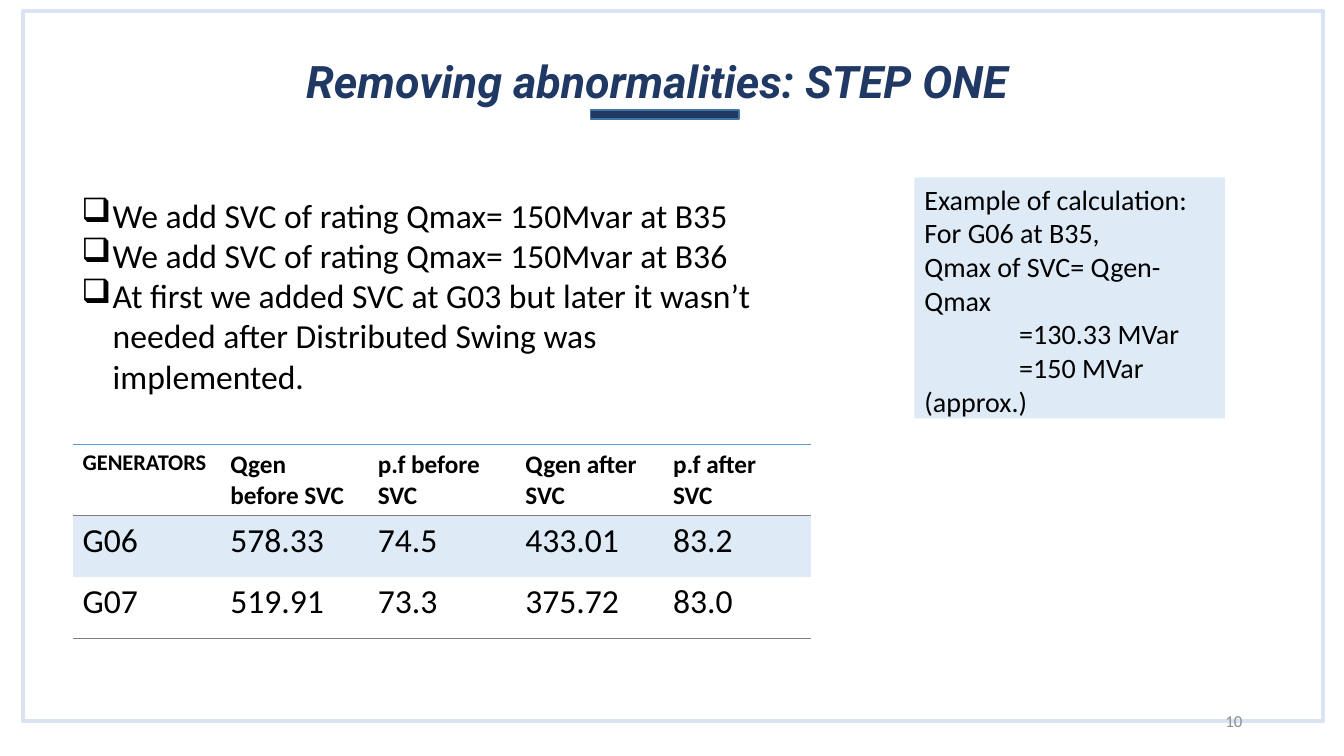
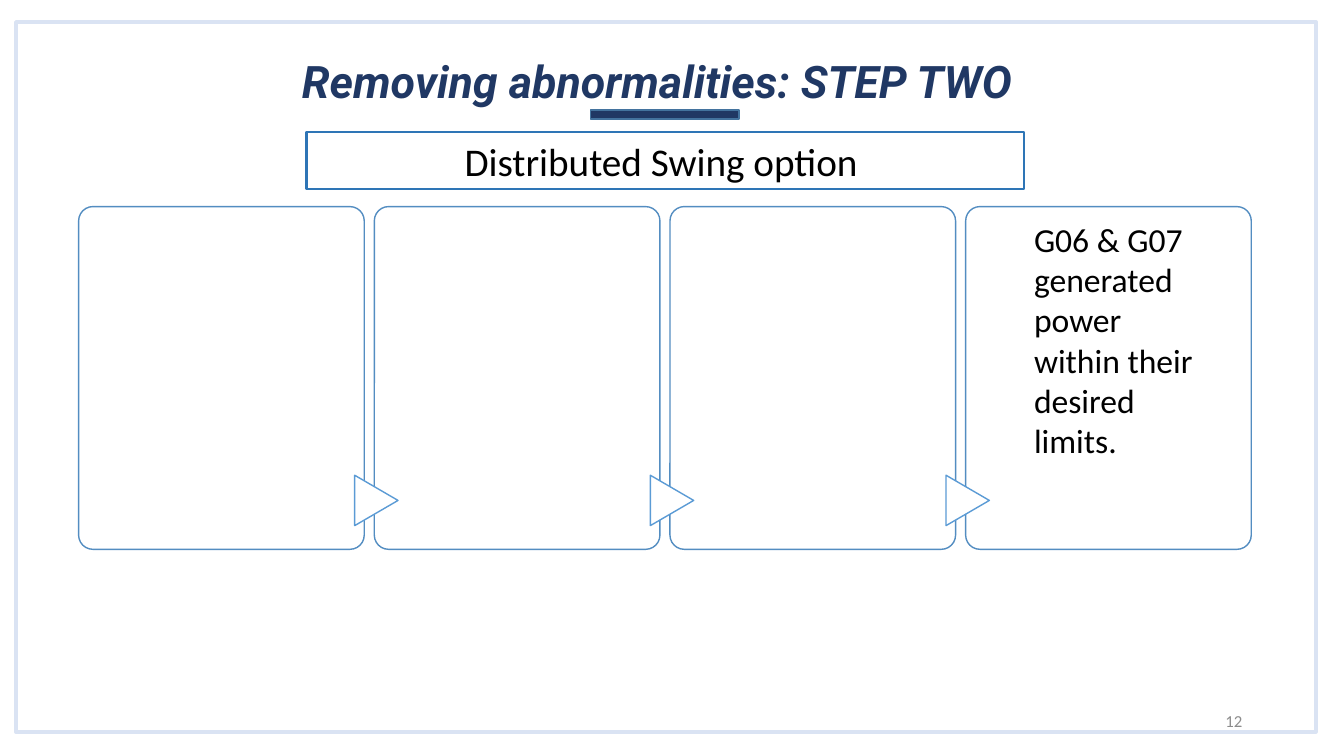
from pptx import Presentation
from pptx.dml.color import RGBColor
from pptx.enum.shapes import MSO_SHAPE
from pptx.enum.text import MSO_ANCHOR, PP_ALIGN
from pptx.oxml.ns import qn
from pptx.util import Inches, Pt
from lxml.etree import SubElement

COLORS = {
    "white": "FFFFFF", "black": "000000", "navy": "203864", "frame": "DAE3F3",
    "bar_line": "43739E", "pale": "DEEBF7", "banner": "2E75B6",
    "card": "538DC1", "blue": "5B9BD5", "rule": "7F7F7F", "number": "8C8C8C",
}
TITLE = {"name": "Roboto", "size": Pt(32), "bold": True, "italic": True}
BODY = {"name": "Calibri", "size": Pt(24)}
NOTE = {"name": "Calibri", "size": Pt(20)}
BANNER = {"name": "Calibri", "size": Pt(28)}
NUMBER = {"name": "Calibri", "size": Pt(12)}
HEAD = {"name": "Calibri", "size": Pt(18), "bold": True}
HEAD_SMALL = {**HEAD, "size": Pt(16)}


def rgb(name):
    return RGBColor.from_string(COLORS[name])


def inches(box):
    return [Inches(v) for v in box]


def write(tf, lines, fmt, color="black", align=PP_ALIGN.LEFT,
          anchor=MSO_ANCHOR.TOP, indents=None, bullet=None):
    tf.word_wrap = True
    tf.vertical_anchor = anchor
    for i, line in enumerate(lines):
        p = tf.paragraphs[0] if i == 0 else tf.add_paragraph()
        p.alignment = align
        margin, first = indents[i] if indents else (0, 0)
        pPr = p._p.get_or_add_pPr()
        pPr.set("marL", str(Inches(margin)))
        pPr.set("indent", str(Inches(first)))
        if bullet:
            SubElement(pPr, qn("a:buChar")).set("char", bullet)
        r = p.add_run()
        r.text = line
        for key, value in fmt.items():
            setattr(r.font, key, value)
        r.font.color.rgb = rgb(color)


def add_text(s, box, lines, fmt, **options):
    sp = s.shapes.add_textbox(*inches(box))
    write(sp.text_frame, lines, fmt, **options)


def add_box(s, kind, box, fill="white", line=None, width=1):
    sp = s.shapes.add_shape(kind, *inches(box))
    sp.shadow.inherit = False
    sp.fill.solid()
    sp.fill.fore_color.rgb = rgb(fill)
    if line:
        sp.line.color.rgb = rgb(line)
        sp.line.width = Pt(width)
    else:
        sp.line.fill.background()
    return sp


def base_slide(prs, title, number, left, top):
    s = prs.slides.add_slide(prs.slide_layouts[6])
    add_box(s, MSO_SHAPE.RECTANGLE, (left, top, 12.89, 7.04), line="frame", width=3)
    add_text(s, (0.77, 0.45, 11.5, 0.7), [title], TITLE, color="navy",
             align=PP_ALIGN.CENTER, anchor=MSO_ANCHOR.MIDDLE)
    add_text(s, (9.42, 6.95, 3, 0.4), [number], NUMBER, color="number",
             align=PP_ALIGN.RIGHT, anchor=MSO_ANCHOR.MIDDLE)
    add_box(s, MSO_SHAPE.RECTANGLE, (5.86, 1.09, 1.47, 0.09), "navy", "bar_line")
    return s


def set_borders(cell, **edges):
    tcPr = cell._tc.get_or_add_tcPr()
    for side in "LRTB":
        ln = SubElement(tcPr, qn(f"a:ln{side}"))
        if side in edges:
            color, width = edges[side]
            ln.set("w", str(Pt(width)))
            fill = SubElement(ln, qn("a:solidFill"))
            SubElement(fill, qn("a:srgbClr")).set("val", COLORS[color])
        else:
            ln.set("w", "0")
            SubElement(ln, qn("a:noFill"))


def generator_table(s, box, rows, heights):
    frame = s.shapes.add_table(len(rows), len(rows[0]), *inches(box))
    table = frame.table
    table.first_row = table.horz_banding = False
    for col in table.columns:
        col.width = Inches(box[2] / len(rows[0]))
    rule = ("rule", 0.75)
    borders = [{"T": ("blue", 1.5), "B": rule}, {"T": rule}, {"B": rule}]
    for i, row in enumerate(rows):
        table.rows[i].height = Inches(heights[i])
        for j, text in enumerate(row):
            cell = table.cell(i, j)
            set_borders(cell, **borders[i])
            if i == 1:
                cell.fill.solid()
                cell.fill.fore_color.rgb = rgb("pale")
            else:
                cell.fill.background()
            fmt = BODY if i else HEAD if j else HEAD_SMALL
            write(cell.text_frame, text.split("\n"), fmt)


def calculation_note(s, box):
    sp = add_box(s, MSO_SHAPE.RECTANGLE, box, "pale")
    lines = ["Example of calculation:", "For G06 at B35,",
             "Qmax of SVC= Qgen- Qmax", "=130.33 MVar", "=150 MVar (approx.)"]
    indents = [(0, 0.94 if line.startswith("=") else 0) for line in lines]
    write(sp.text_frame, lines, NOTE, indents=indents)


def process_cards(s, box, texts, gap=0.1):
    left, top, width, height = box
    card_w = (width - gap * (len(texts) - 1)) / len(texts)
    for i, text in enumerate(texts):
        x = left + i * (card_w + gap)
        card = add_box(s, MSO_SHAPE.ROUNDED_RECTANGLE, (x, top, card_w, height), line="card")
        card.adjustments[0] = 0.05
        if i:
            arrow = add_box(s, MSO_SHAPE.FLOWCHART_EXTRACT,
                            (x - 0.23, top + 2.7, 0.5, 0.43), line="blue")
            arrow.rotation = 90
        if text:
            add_text(s, (x + 0.58, top + 0.07, 1.87, 2.52), [text], BODY)


def step_one(prs):
    s = base_slide(prs, "Removing abnormalities: STEP ONE", "10", 0.23, 0.11)
    calculation_note(s, (9.07, 1.76, 3.08, 2.39))
    points = ["We add SVC of rating Qmax= 150Mvar at B35",
              "We add SVC of rating Qmax= 150Mvar at B36",
              "At first we added SVC at G03 but later it wasn’t needed after "
              "Distributed Swing was implemented."]
    add_text(s, (0.71, 1.88, 7.05, 2.1), points, BODY,
             indents=[(0.31, -0.31)] * len(points), bullet="❑")
    rows = [["GENERATORS", "Qgen\nbefore SVC", "p.f before SVC", "Qgen after SVC", "p.f after SVC"],
            ["G06", "578.33", "74.5", "433.01", "83.2"],
            ["G07", "519.91", "73.3", "375.72", "83.0"]]
    generator_table(s, (0.72, 4.41, 7.32, 1.91), rows, [0.7, 0.61, 0.61])


def step_two(prs):
    s = base_slide(prs, "Removing abnormalities: STEP TWO", "12", 0.16, 0.22)
    banner = add_box(s, MSO_SHAPE.RECTANGLE, (3.04, 1.31, 7.12, 0.57), line="banner", width=1.5)
    write(banner.text_frame, ["Distributed Swing option "], BANNER, align=PP_ALIGN.CENTER)
    process_cards(s, (0.78, 2.05, 11.63, 3.4), [
        "", "", "", "G06 & G07 generated power within their desired limits."])


def main():
    prs = Presentation()
    prs.slide_width, prs.slide_height = Inches(13.33), Inches(7.5)
    step_one(prs)
    step_two(prs)
    prs.save("out.pptx")


if __name__ == "__main__":
    main()
